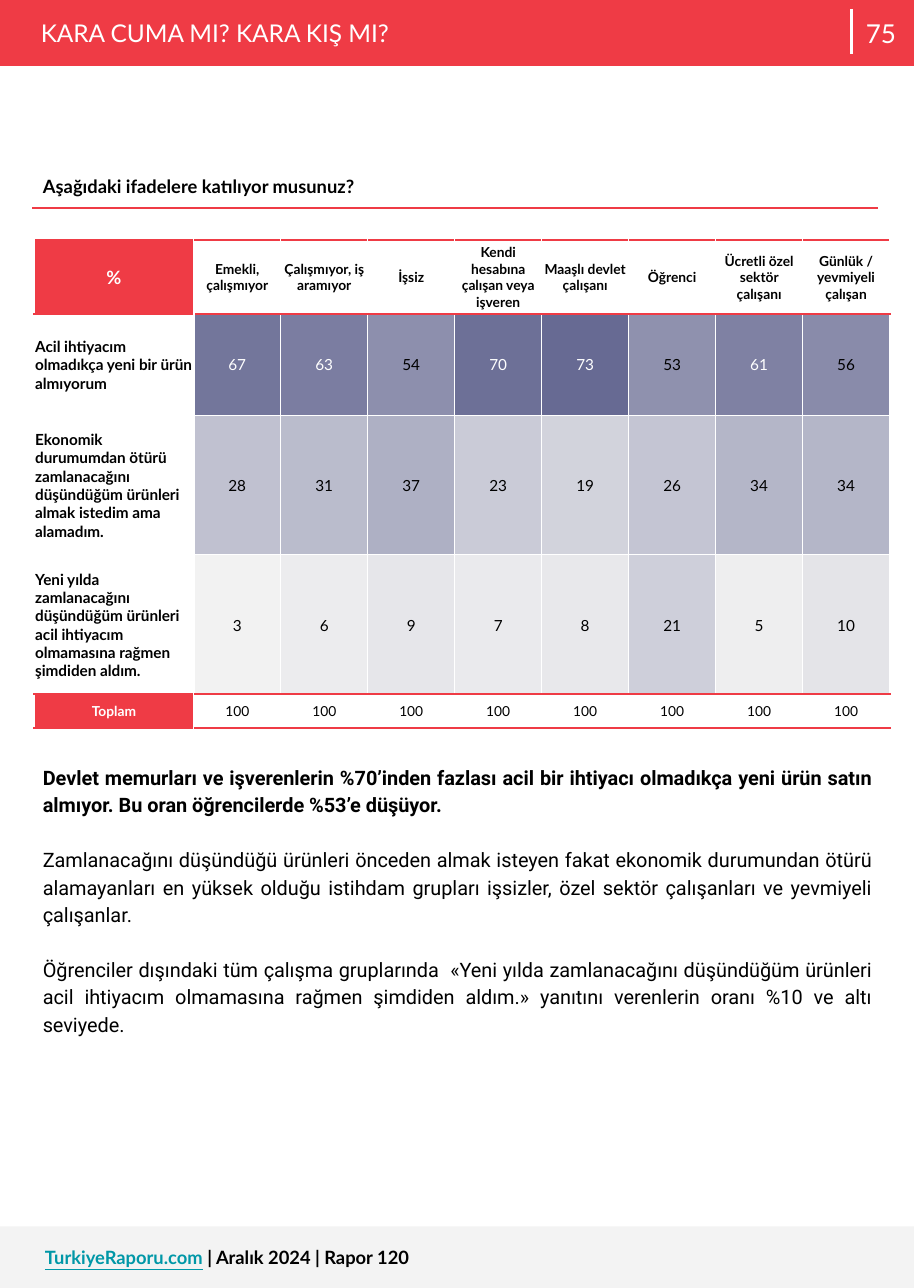
from lxml import etree
from pptx import Presentation
from pptx.dml.color import RGBColor
from pptx.enum.shapes import MSO_CONNECTOR, MSO_SHAPE
from pptx.enum.text import MSO_ANCHOR, MSO_AUTO_SIZE, PP_ALIGN
from pptx.oxml.ns import qn
from pptx.util import Emu, Pt

RECT, STRAIGHT = MSO_SHAPE.RECTANGLE, MSO_CONNECTOR.STRAIGHT
TOP, MIDDLE = MSO_ANCHOR.TOP, MSO_ANCHOR.MIDDLE
LEFT, CENTER, JUSTIFY = PP_ALIGN.LEFT, PP_ALIGN.CENTER, PP_ALIGN.JUSTIFY
RED, WHITE, BLACK, GREY, TEAL = "EF3B45", "FFFFFF", "000000", "F3F3F3", "0097A7"
HEAT_LOW, HEAT_HIGH = (3, "F2F2F2"), (73, "676A93")
WHITE_TEXT_FROM = 60
WIDTH, HEIGHT = 830, 1170

GROUPS = ["Emekli, çalışmıyor", "Çalışmıyor, iş aramıyor", "İşsiz",
          "Kendi hesabına çalışan veya işveren", "Maaşlı devlet çalışanı",
          "Öğrenci", "Ücretli özel sektör çalışanı", "Günlük / yevmiyeli çalışan"]
ANSWERS = [
    ("Acil ihtiyacım olmadıkça yeni bir ürün almıyorum",
     [67, 63, 54, 70, 73, 53, 61, 56]),
    ("Ekonomik durumumdan ötürü zamlanacağını düşündüğüm ürünleri almak istedim "
     "ama alamadım.", [28, 31, 37, 23, 19, 26, 34, 34]),
    ("Yeni yılda zamlanacağını düşündüğüm ürünleri acil ihtiyacım olmamasına "
     "rağmen şimdiden aldım.", [3, 6, 9, 7, 8, 21, 5, 10]),
]
COMMENTS = [
    "Devlet memurları ve işverenlerin %70’inden fazlası acil bir ihtiyacı olmadıkça "
    "yeni ürün satın almıyor. Bu oran öğrencilerde %53’e düşüyor.",
    "Zamlanacağını düşündüğü ürünleri önceden almak isteyen fakat ekonomik durumundan "
    "ötürü alamayanları en yüksek olduğu istihdam grupları işsizler, özel sektör "
    "çalışanları ve yevmiyeli çalışanlar.",
    "Öğrenciler dışındaki tüm çalışma gruplarında  «Yeni yılda zamlanacağını düşündüğüm "
    "ürünleri acil ihtiyacım olmamasına rağmen şimdiden aldım.» yanıtını verenlerin "
    "oranı %10 ve altı seviyede.",
]


def px(n):
    return Emu(n * 9144)


def color(code):
    return RGBColor.from_string(code)


def heat(value):
    """Colour of a value between the two ends of the heat scale."""
    (low, light), (high, dark) = HEAT_LOW, HEAT_HIGH
    t = (value - low) / (high - low)
    pairs = zip(bytes.fromhex(light), bytes.fromhex(dark))
    return "".join(f"{round(a + (b - a) * t):02X}" for a, b in pairs)


def style(p, size, code, bold=False, align=LEFT, font="Lato"):
    p.alignment = align
    p.font.size, p.font.bold, p.font.name = Pt(size), bold, font
    p.font.color.rgb = color(code)


def set_frame(tf, margin=10, anchor=TOP):
    tf.word_wrap, tf.auto_size, tf.vertical_anchor = True, MSO_AUTO_SIZE.NONE, anchor
    tf.margin_left = tf.margin_right = tf.margin_top = tf.margin_bottom = px(margin)


def add_text(s, x, y, w, h, anchor=TOP):
    tf = s.shapes.add_textbox(px(x), px(y), px(w), px(h)).text_frame
    set_frame(tf, anchor=anchor)
    return tf


def add_bar(s, x, y, w, h, fill):
    sp = s.shapes.add_shape(RECT, px(x), px(y), px(w), px(h))
    sp.shadow.inherit = False
    sp.fill.solid()
    sp.fill.fore_color.rgb = color(fill)
    sp.line.fill.background()
    return sp


def add_table(s, x, y, cols, rows):
    table = s.shapes.add_table(len(rows), len(cols), px(x), px(y),
                               px(sum(cols)), px(sum(rows))).table
    table.first_row = table.horz_banding = False
    for column, w in zip(table.columns, cols):
        column.width = px(w)
    for row, h in zip(table.rows, rows):
        row.height = px(h)
    return table


def fill_cell(cell, text, fill, borders, margin=1, anchor=MIDDLE, **font):
    """Borders are (colour, points) for left, right, top and bottom."""
    cell.text = text
    cell.vertical_anchor = anchor
    cell.margin_left = cell.margin_right = cell.margin_top = px(margin)
    cell.margin_bottom = px(margin if margin > 1 else 0)
    style(cell.text_frame.paragraphs[0], **font)
    cell.fill.solid()
    cell.fill.fore_color.rgb = color(fill)
    tc_pr = cell._tc.get_or_add_tcPr()
    for i, (side, (code, width)) in enumerate(zip("LRTB", borders)):
        ln = etree.Element(qn(f"a:ln{side}"), w=str(Pt(width)))
        solid = etree.SubElement(ln, qn("a:solidFill"))
        etree.SubElement(solid, qn("a:srgbClr"), val=code)
        tc_pr.insert(i, ln)


def header(s, x, y, w, h):
    # Title on a red band
    title = s.shapes.title
    title.element.addprevious(add_bar(s, x, y, w, h, RED).element)
    title.left, title.top, title.width, title.height = px(x + 27), px(y + 6), px(746), px(47)
    title.text_frame.text = "KARA CUMA MI? KARA KIŞ MI?"
    set_frame(title.text_frame)
    style(title.text_frame.paragraphs[0], 16, WHITE)
    # Page number and divider
    divider = x + w - 57
    tf = add_text(s, divider, y, 54, h, MIDDLE)
    tf.text = "75"
    style(tf.paragraphs[0], 17, WHITE, align=CENTER)
    line = s.shapes.add_connector(STRAIGHT, px(divider), px(y + 8), px(divider), px(y + 49))
    line.line.color.rgb, line.line.width = color(WHITE), Pt(2.25)
    etree.SubElement(line.element.spPr, qn("a:effectLst"))


def question(s, x, y, w, h):
    cell = add_table(s, x, y, [w], [h]).cell(0, 0)
    fill_cell(cell, "Aşağıdaki ifadelere katılıyor musunuz?", WHITE,
              [(WHITE, 0.75)] * 3 + [(RED, 1)], margin=10, anchor=TOP,
              size=12, code=BLACK, bold=True)


def results_table(s, x, y, label_w, group_w):
    rows = [67, 92, 127, 127, 30]
    table = add_table(s, x, y, [label_w] + [group_w] * len(GROUPS), rows)
    last_row, last_col = len(rows) - 1, len(GROUPS)

    def put(r, c, text, fill, **font):
        label_gap = 1.5 if 0 < r < last_row else 0.5
        left = 1 if c == 0 else label_gap if c == 1 else 0.5
        right = label_gap if c == 0 else 1.5 if c == last_col else 0.5
        red, thin = (RED, 1.5), (WHITE, 0.5)
        top = red if r in (0, 1, last_row) else thin
        bottom = red if r in (0, last_row - 1, last_row) else thin
        fill_cell(table.cell(r, c), text, fill,
                  [(WHITE, left), (WHITE, right), top, bottom], **font)

    # Employment groups
    put(0, 0, "%", RED, size=12, code=WHITE, bold=True, align=CENTER)
    for c, group in enumerate(GROUPS, 1):
        put(0, c, group, WHITE, size=9, code=BLACK, bold=True, align=CENTER)
    # Answers as a heat map
    for r, (answer, values) in enumerate(ANSWERS, 1):
        put(r, 0, answer, WHITE, size=10, code=BLACK, bold=True)
        for c, value in enumerate(values, 1):
            code = WHITE if value >= WHITE_TEXT_FROM else BLACK
            put(r, c, str(value), heat(value), size=10, code=code, align=CENTER)
    # Totals
    put(last_row, 0, "Toplam", RED, size=9, code=WHITE, bold=True, align=CENTER)
    for c in range(1, last_col + 1):
        put(last_row, c, "100", WHITE, size=9, code=BLACK, align=CENTER)


def commentary(s, x, y, w, h):
    tf = add_text(s, x, y, w, h)
    for i, text in enumerate(COMMENTS):
        p = tf.add_paragraph() if i else tf.paragraphs[0]
        p.text = text
        p.line_spacing = 1.15
        p.space_before = Pt(18 if i else 0)
        style(p, 13, BLACK, bold=i == 0, align=JUSTIFY, font="Roboto")


def footer(s, x, y, w, h):
    add_bar(s, x, y, w, h, GREY)
    p = add_text(s, x + 31, y + 8, 696, h - 8).paragraphs[0]
    style(p, 12, BLACK, bold=True)
    site = p.add_run()
    site.text = "TurkiyeRaporu.com"
    site.font.underline = True
    site.font.color.rgb = color(TEAL)
    p.add_run().text = " | Aralık 2024 | Rapor 120"


def main():
    prs = Presentation()
    prs.slide_width, prs.slide_height = px(WIDTH), px(HEIGHT)
    s = prs.slides.add_slide(prs.slide_layouts[5])
    header(s, 0, 0, WIDTH, 60)
    question(s, 29, 149, 769, 40)
    results_table(s, 31, 218, 145, 79)
    commentary(s, 29, 682, 772, 347)
    footer(s, 0, 1114, WIDTH, 56)
    prs.save("out.pptx")


if __name__ == "__main__":
    main()
